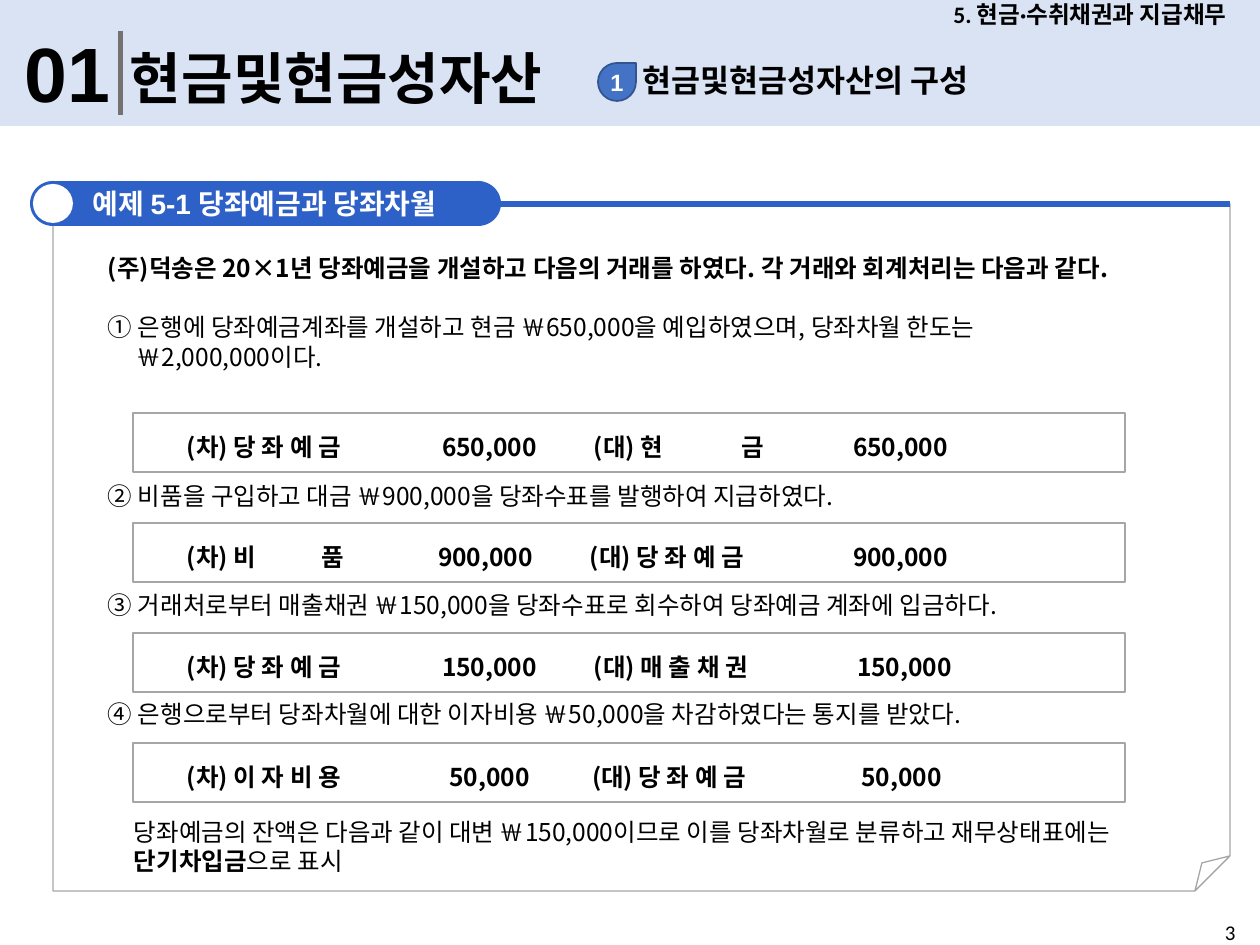
from pptx import Presentation
from pptx.dml.color import RGBColor as RGB
from pptx.enum.shapes import MSO_SHAPE as Shape
from pptx.enum.text import MSO_ANCHOR as Anchor, PP_ALIGN as Align
from pptx.oxml.ns import qn
from pptx.util import Pt
from lxml.etree import SubElement as Sub

BLACK = RGB(0x00, 0x00, 0x00)
WHITE = RGB(0xFF, 0xFF, 0xFF)
PALE = RGB(0xDA, 0xE3, 0xF3)
BLUE = RGB(0x2D, 0x61, 0xC8)
DROP = RGB(0x44, 0x72, 0xC4)
EDGE = RGB(0x32, 0x54, 0x91)
GRAY = RGB(0xA6, 0xA6, 0xA6)
BAR = RGB(0x76, 0x71, 0x71)
SANS = "Noto Sans CJK KR"

# Font formats
HEAD = dict(name="Calibri", bold=True)
NUM = dict(name="Arial", bold=True)
BODY = dict(name=SANS, size=Pt(14), bold=False)
BOLD = dict(BODY, bold=True)

# Each journal entry: debit and credit cells as (tab stop, alignment, text)
ENTRIES = [
    [(40, "l", "(차) 당 좌 예 금"), (390, "r", "650,000"),
     (447, "l", "(대) 현"), (595, "l", "금"), (801, "r", "650,000")],
    [(40, "l", "(차) 비"), (174, "l", "품"), (386, "r", "900,000"),
     (443, "l", "(대) 당 좌 예 금"), (801, "r", "900,000")],
    [(40, "l", "(차) 당 좌 예 금"), (390, "r", "150,000"),
     (447, "l", "(대) 매 출 채 권"), (805, "r", "150,000")],
    [(40, "l", "(차) 이 자 비 용"), (383, "r", "50,000"),
     (445, "l", "(대) 당 좌 예 금"), (795, "r", "50,000")],
]
STEPS = [
    "② 비품을 구입하고 대금 ￦900,000을 당좌수표를 발행하여 지급하였다.",
    "③ 거래처로부터 매출채권 ￦150,000을 당좌수표로 회수하여 당좌예금 계좌에 입금하다.",
    "④ 은행으로부터 당좌차월에 대한 이자비용 ￦50,000을 차감하였다는 통지를 받았다.",
]


def px(n):
    return round(n * 914400 / 126)


def style(item, values):
    for key, value in values.items():
        setattr(item, key, value)


def write(para, text, form, color=BLACK):
    run = para.add_run()
    run.text = text
    style(run.font, form)
    run.font.color.rgb = color
    Sub(run._r.get_or_add_rPr(), qn("a:ea"), typeface=SANS)


def frame(shape, side=13, wrap=True, anchor=Anchor.TOP):
    box = shape.text_frame
    style(box, dict(margin_left=px(side), margin_right=px(side),
                    margin_top=px(6), margin_bottom=px(6),
                    word_wrap=wrap, vertical_anchor=anchor))
    return box


def label(slide, box, text, form, **opts):
    """Text box with one paragraph, which is returned."""
    item = slide.shapes.add_textbox(*map(px, box))
    para = frame(item, **opts).paragraphs[0]
    write(para, text, form)
    return para


def draw(slide, kind, box, fill=None, line=None, width=0.75):
    shape = slide.shapes.add_shape(kind, *map(px, box))
    shape.shadow.inherit = False
    if fill is None:
        shape.fill.background()
    else:
        shape.fill.solid()
        shape.fill.fore_color.rgb = fill
    if line is None:
        shape.line.fill.background()
    else:
        shape.line.color.rgb = line
        shape.line.width = Pt(width)
    return shape


def header(slide, x, y, w, h):
    draw(slide, Shape.RECTANGLE, (x, y, w, h), PALE)
    # Chapter
    para = label(slide, (x + w - 340, y, 340, 29), "5. 현금·수취채권과 지급채무",
                 dict(HEAD, size=Pt(13.5)), anchor=Anchor.MIDDLE)
    para.alignment = Align.CENTER
    # Topic and its number
    label(slide, (x + 630, y + 55, 389, 50), "현금및현금성자산의 구성",
          dict(HEAD, size=Pt(18)), wrap=False)
    drop = draw(slide, Shape.TEAR, (x + 598, y + 63, 38, 38), DROP, EDGE, 1)
    para = frame(drop, wrap=False, anchor=Anchor.MIDDLE).paragraphs[0]
    para.alignment = Align.CENTER
    write(para, "1", dict(NUM, size=Pt(13.5)), WHITE)
    # Section title
    label(slide, (x + 12, y + 20, 115, 106), "01", dict(NUM, size=Pt(44)),
          wrap=False)
    draw(slide, Shape.RECTANGLE, (x + 118, y + 31, 5, 84), BAR)
    label(slide, (x + 117, y + 37, 507, 81), "현금및현금성자산",
          dict(HEAD, size=Pt(32)), wrap=False)


def panel(slide, x, y, w, h):
    page = draw(slide, Shape.FOLDED_CORNER, (x + 23, y + 23, w - 23, h - 23),
                line=GRAY)
    # Size of the folded corner
    geom = page._element.spPr.find(qn("a:prstGeom"))
    Sub(geom.get_or_add_avLst(), qn("a:gd"), name="adj", fmla="val 5100")
    draw(slide, Shape.RECTANGLE, (x + 24, y + 20, w - 24, 6), BLUE)
    # Tab with round ends
    for left in (0, 425):
        draw(slide, Shape.OVAL, (x + left, y, 46, 45), BLUE)
    tab = draw(slide, Shape.RECTANGLE, (x + 22, y, 425, 45), BLUE)
    para = frame(tab, anchor=Anchor.MIDDLE).paragraphs[0]
    para.alignment = Align.CENTER
    for text, form in (("예제 ", HEAD), ("5-1 ", NUM), ("당좌예금과 당좌차월", HEAD)):
        write(para, text, dict(form, size=Pt(16)), WHITE)
    draw(slide, Shape.OVAL, (x + 3, y + 3, 40, 39), WHITE)


def entry(slide, box, cells):
    shape = draw(slide, Shape.RECTANGLE, box, WHITE, GRAY)
    para = frame(shape, side=14).paragraphs[0]
    style(para, dict(alignment=Align.LEFT, line_spacing=Pt(24)))
    stops = Sub(para._p.get_or_add_pPr(), qn("a:tabLst"))
    for stop, side, _ in cells:
        Sub(stops, qn("a:tab"), pos=str(px(stop)), algn=side)
    write(para, "".join("\t" + text for _, _, text in cells), BOLD)


def example(slide, x, y, w, h):
    # Opening and first transaction
    item = slide.shapes.add_textbox(*map(px, (x, y, w, 179)))
    box = frame(item, side=14)
    write(box.paragraphs[0], "(주)덕송은 20×1년 당좌예금을 개설하고 다음의 거래를 하였다. "
          "각 거래와 회계처리는 다음과 같다.", BOLD)
    para = box.add_paragraph()
    para.space_before = Pt(17)
    write(para, "① 은행에 당좌예금계좌를 개설하고 현금 ￦650,000을 예입하였으며, 당좌차월 한도는", BODY)
    para = box.add_paragraph()
    para._p.get_or_add_pPr().set("marL", str(px(29)))
    write(para, "￦2,000,000이다.", BODY)
    # Journal entries and the transactions between them
    for i, cells in enumerate(ENTRIES):
        entry(slide, (x + 39, y + 166 + 110 * i, 992, 59), cells)
    for i, text in enumerate(STEPS):
        para = label(slide, (x, y + 228 + 109 * i, w, 49), text, BODY, side=14)
        para.alignment = Align.JUSTIFY
    # Closing remark
    para = label(slide, (x + 26, y + h - 79, w, 79),
                 "당좌예금의 잔액은 다음과 같이 대변 ￦150,000이므로 이를 당좌차월로 "
                 "분류하고 재무상태표에는 ", BODY, side=14)
    write(para, "단기차입금", BOLD)
    write(para, "으로 표시", BODY)


def main():
    deck = Presentation()
    style(deck, dict(slide_width=px(1260), slide_height=px(945)))
    slide = deck.slides.add_slide(deck.slide_layouts[6])
    header(slide, 0, 0, 1260, 126)
    panel(slide, 30, 181, 1200, 710)
    example(slide, 94, 247, 1071, 643)
    # Page number
    label(slide, (1212, 914, 283, 50), "3", dict(name="Calibri", size=Pt(12)))
    deck.save("out.pptx")


if __name__ == "__main__":
    main()
